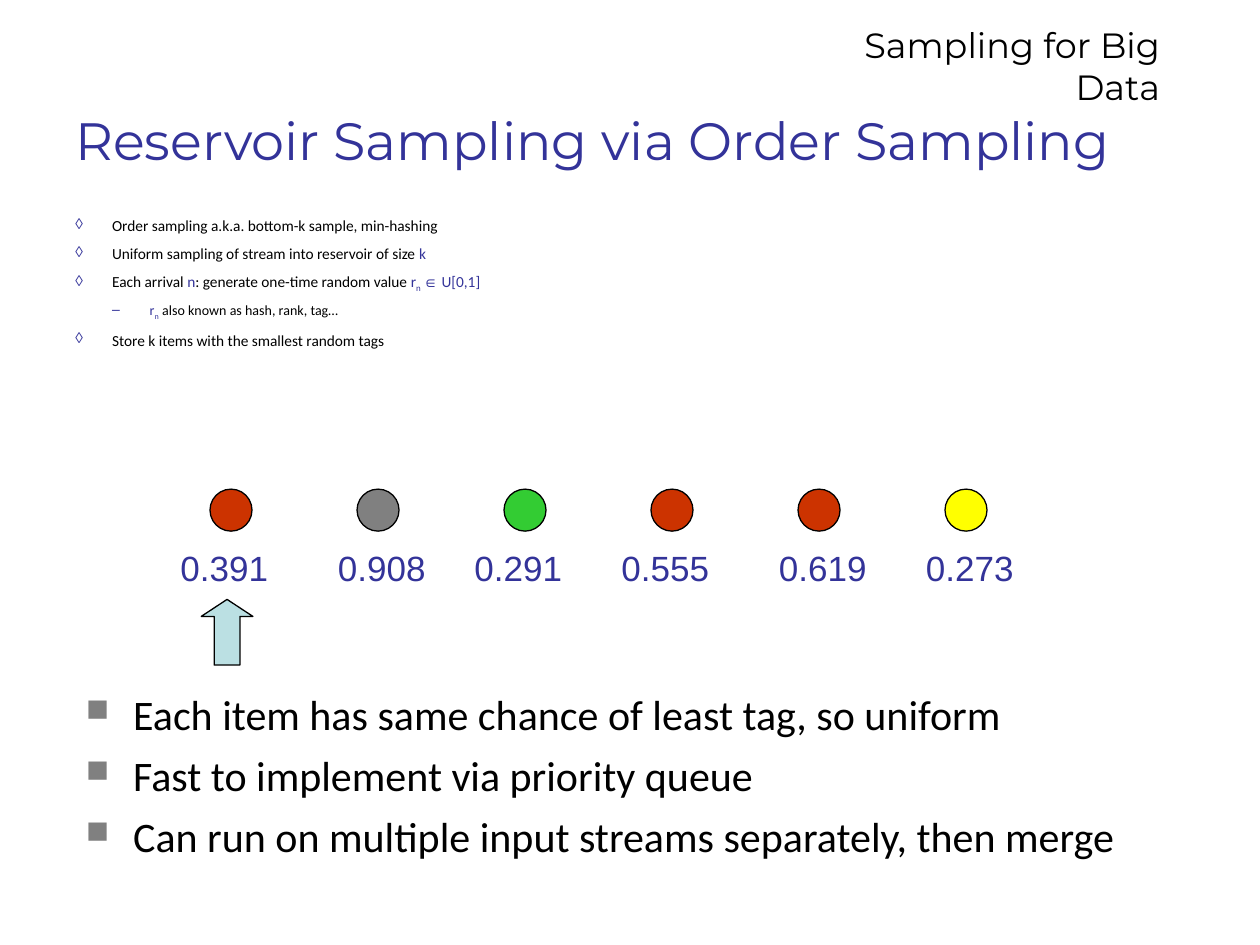
from lxml import etree
from pptx import Presentation
from pptx.dml.color import RGBColor
from pptx.enum.shapes import MSO_SHAPE
from pptx.enum.text import MSO_ANCHOR, PP_ALIGN
from pptx.oxml.ns import qn
from pptx.util import Pt

OVAL, UP_ARROW = MSO_SHAPE.OVAL, MSO_SHAPE.UP_ARROW
TOP, MIDDLE = MSO_ANCHOR.TOP, MSO_ANCHOR.MIDDLE
LEFT, RIGHT = PP_ALIGN.LEFT, PP_ALIGN.RIGHT

BLACK = RGBColor(0x00, 0x00, 0x00)
INDIGO = RGBColor(0x33, 0x33, 0x99)
RED = RGBColor(0xCC, 0x33, 0x00)
GRAY = RGBColor(0x80, 0x80, 0x80)
GREEN = RGBColor(0x33, 0xCC, 0x33)
YELLOW = RGBColor(0xFF, 0xFF, 0x00)
PALE_BLUE = RGBColor(0xBB, 0xE0, 0xE3)

HEADING_FONT, BODY_FONT, SYMBOL_FONT = "Montserrat", "Calibri", "Arial"

# Item colour, random tag, left edge of the tag
ITEMS = [
    (RED, "0.391", 96),
    (GRAY, "0.908", 186),
    (GREEN, "0.291", 264),
    (RED, "0.555", 348),
    (RED, "0.619", 438),
    (YELLOW, "0.273", 522),
]
ITEM_LEFT, ITEM_TOP, ITEM_SIZE, ITEM_STEP = 120, 279.5, 24, 84

# Level and runs of (text, colour, is subscript)
METHOD = [
    (0, [("Order sampling a.k.a. bottom-k sample, min-hashing", BLACK, False)]),
    (0, [("Uniform sampling of stream into reservoir of size ", BLACK, False),
         ("k", INDIGO, False)]),
    (0, [("Each arrival ", BLACK, False), ("n", INDIGO, False),
         (": generate one-time random value ", BLACK, False),
         ("r", INDIGO, False), ("n ", INDIGO, True),
         ("∈", INDIGO, False), (" U[0,1]", INDIGO, False)]),
    (1, [("r", INDIGO, False), ("n", INDIGO, True),
         (" also known as hash, rank, tag…", BLACK, False)]),
    (0, [("Store k items with the smallest random tags", BLACK, False)]),
]
# Per level: bullet, left margin, hanging indent, text size, space before
METHOD_LEVELS = [("◊", 21, 21, 8.8, 5.5), ("–", 42.5, 21.5, 8, 5)]

PROPERTIES = [
    "Each item has same chance of least tag, so uniform",
    "Fast to implement via priority queue",
    "Can run on multiple input streams separately, then merge",
]


def add_text_frame(slide, left, top, width, height, anchor=TOP):
    box = slide.shapes.add_textbox(Pt(left), Pt(top), Pt(width), Pt(height))
    tf = box.text_frame
    tf.word_wrap = True
    tf.vertical_anchor = anchor
    return tf


def add_run(p, text, size, color, font, subscript=False):
    r = p.add_run()
    r.text = text
    r.font.size = Pt(size)
    r.font.name = font
    r.font.color.rgb = color
    if subscript:
        r.font._element.set("baseline", "-25000")


def add_label(slide, text, box, size, color, font, align=LEFT, anchor=TOP):
    p = add_text_frame(slide, *box, anchor).paragraphs[0]
    p.alignment = align
    add_run(p, text, size, color, font)


def add_bullet(tf, index, char, color, margin, hanging, space, percent=100):
    """Return the paragraph at index, with a hanging bullet."""
    p = tf.add_paragraph() if index else tf.paragraphs[0]
    pPr = p._p.get_or_add_pPr()
    pPr.set("marL", str(Pt(margin)))
    pPr.set("indent", str(-Pt(hanging)))
    bu_color = etree.SubElement(pPr, qn("a:buClr"))
    etree.SubElement(bu_color, qn("a:srgbClr"), val=str(color))
    etree.SubElement(pPr, qn("a:buSzPct"), val=str(percent * 1000))
    etree.SubElement(pPr, qn("a:buChar"), char=char)
    if index:
        p.space_before = Pt(space)
    return p


def add_outlined_shape(slide, kind, left, top, width, height, fill):
    sp = slide.shapes.add_shape(kind, Pt(left), Pt(top), Pt(width), Pt(height))
    sp.shadow.inherit = False
    sp.fill.solid()
    sp.fill.fore_color.rgb = fill
    sp.line.color.rgb = BLACK
    sp.line.width = Pt(0.75)
    return sp


def add_method(slide):
    tf = add_text_frame(slide, 36, 120, 648, 84)
    for i, (level, runs) in enumerate(METHOD):
        char, margin, hanging, size, space = METHOD_LEVELS[level]
        p = add_bullet(tf, i, char, INDIGO, margin, hanging, space)
        p.level = level
        for text, color, subscript in runs:
            font = SYMBOL_FONT if text == "∈" else BODY_FONT
            add_run(p, text, size, color, font, subscript)


def add_stream(slide):
    for i, (color, tag, tag_left) in enumerate(ITEMS):
        add_outlined_shape(slide, OVAL, ITEM_LEFT + i * ITEM_STEP, ITEM_TOP,
                           ITEM_SIZE, ITEM_SIZE, color)
        add_label(slide, tag, (tag_left, 309, 132, 31.5), 20, INDIGO, SYMBOL_FONT)
    arrow = add_outlined_shape(slide, UP_ARROW, 115, 342.5, 29.5, 37.5, PALE_BLUE)
    arrow.adjustments[0] = 0.5
    arrow.adjustments[1] = 0.33


def add_properties(slide):
    tf = add_text_frame(slide, 42, 390, 648, 84)
    for i, text in enumerate(PROPERTIES):
        p = add_bullet(tf, i, "■", GRAY, 27, 27, 6, 75)
        add_run(p, text, 24, BLACK, BODY_FONT)


def main():
    prs = Presentation()
    prs.slide_width, prs.slide_height = Pt(720), Pt(540)
    slide = prs.slides.add_slide(prs.slide_layouts[6])
    add_label(slide, "Sampling for Big Data", (450, 10, 220, 55.5), 20, BLACK,
              HEADING_FONT, align=RIGHT)
    add_label(slide, "Reservoir Sampling via Order Sampling", (36, 48, 684, 63),
              30, INDIGO, HEADING_FONT, anchor=MIDDLE)
    add_method(slide)
    add_stream(slide)
    add_properties(slide)
    prs.save("out.pptx")


if __name__ == "__main__":
    main()
